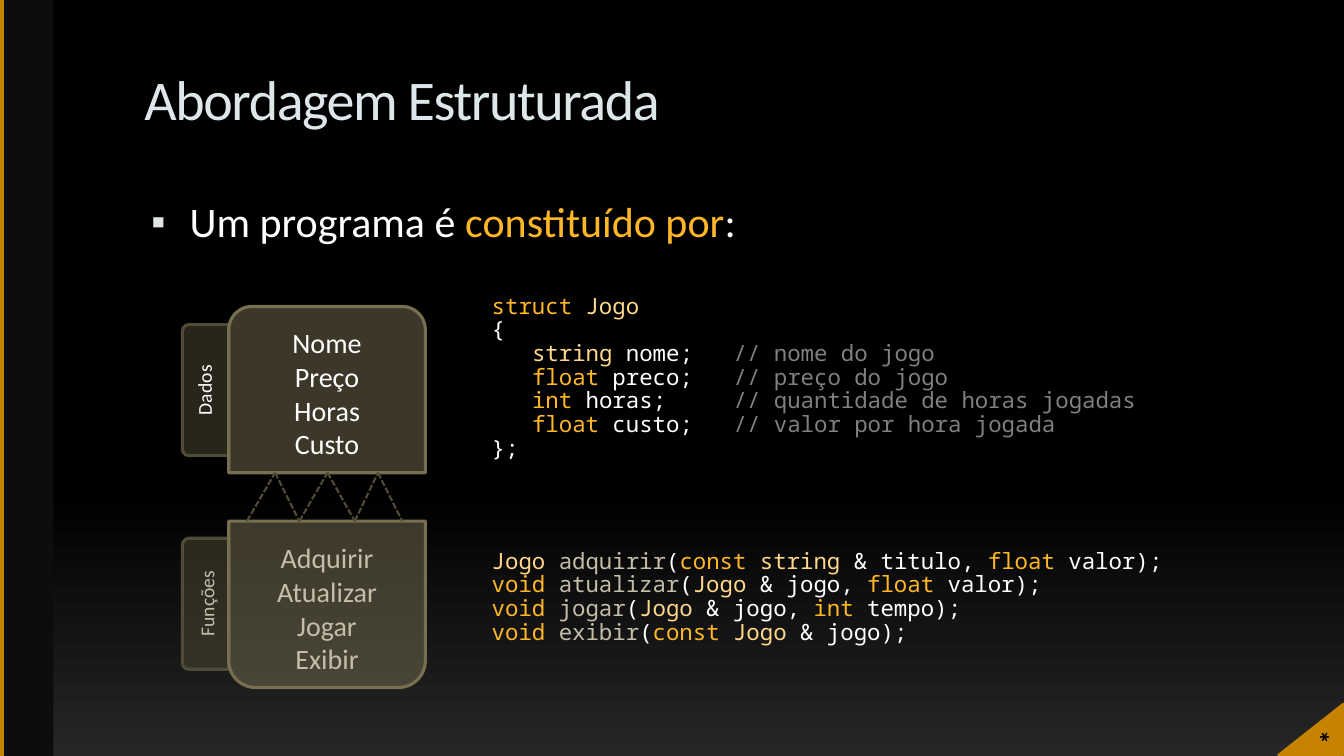
"""Slide on the structured approach: data, functions and their declarations."""
from lxml import etree
from pptx import Presentation
from pptx import util as u
from pptx.dml.color import RGBColor
from pptx.enum import dml, shapes, text
from pptx.oxml import ns

WHITE = RGBColor(0xFF, 0xFF, 0xFF)
BLACK = RGBColor(0x00, 0x00, 0x00)
CHARCOAL = RGBColor(0x26, 0x26, 0x26)
SIDEBAR = RGBColor(0x0D, 0x0D, 0x0D)
ORANGE = RGBColor(0xC5, 0x83, 0x00)
AMBER = RGBColor(0xFF, 0xB7, 0x28)
CREAM = RGBColor(0xFF, 0xD8, 0x8B)
GRAY = RGBColor(0x80, 0x80, 0x80)
SAND = RGBColor(0xC4, 0xBE, 0xA9)
MIST = RGBColor(0xDD, 0xE6, 0xE8)
OLIVE = RGBColor(0x78, 0x6F, 0x51)
DARK_OLIVE = RGBColor(0x50, 0x4A, 0x36)

deck = Presentation()
deck.slide_width, deck.slide_height = u.Inches(13.33), u.Inches(7.5)
page = deck.slides.add_slide(deck.slide_layouts[6])
COLUMN, ROW = deck.slide_width / 160, deck.slide_height / 90


def place(left, top, width, height):
    return int(left * COLUMN), int(top * ROW), int(width * COLUMN), int(height * ROW)


def write(box, lines, font, para_format={}, insets=(0.1, 0.05, 0.1, 0.05), anchor=text.MSO_ANCHOR.TOP):
    frame = box.text_frame
    frame.word_wrap, frame.vertical_anchor = True, anchor
    for side, inset in zip(("left", "top", "right", "bottom"), insets):
        setattr(frame, f"margin_{side}", u.Inches(inset))
    for number, line in enumerate(lines):
        para = frame.add_paragraph() if number else frame.paragraphs[0]
        for name, value in para_format.items():
            setattr(para, name, value)
        for words, color in line:
            span = para.add_run()
            span.text = words
            span.font.color.rgb = color
            for name, value in font.items():
                setattr(span.font, name, value)
    return frame.paragraphs


backdrop = page.background.fill
backdrop.gradient()
backdrop.gradient_angle = 270
for stop, position, color in zip(backdrop.gradient_stops, (0.65, 1), (BLACK, CHARCOAL)):
    stop.position, stop.color.rgb = position, color

sidebar = page.shapes.add_shape(shapes.MSO_SHAPE.RECTANGLE, *place(0, 0, 6.36, 90))
sidebar.shadow.inherit = False
sidebar.fill.solid()
sidebar.fill.fore_color.rgb = SIDEBAR
sidebar.line.fill.background()

title = page.shapes.add_textbox(*place(16, 6.72, 114.12, 12))
heading = write(title, [[("Abordagem Estruturada", MIST)]],
                {"name": "Calibri", "size": u.Pt(40)}, insets=(0.1, 0.08, 0.1, 0.05))
heading[0].runs[0].font._element.set("spc", "-100")

body = page.shapes.add_textbox(*place(16, 23.4, 136, 60))
bullet = write(body, [[("Um programa é ", WHITE), ("constituído por", AMBER), (":", WHITE)]],
               {"name": "Calibri", "size": u.Pt(30)},
               {"space_before": u.Pt(7), "line_spacing": 0.9})[0]._p.get_or_add_pPr()
bullet.set("marL", str(u.Inches(0.45)))
bullet.set("indent", str(u.Inches(-0.38)))
bullet_color = etree.SubElement(bullet, ns.qn("a:buClr"))
etree.SubElement(bullet_color, ns.qn("a:srgbClr"), val="E0E4E5")
etree.SubElement(bullet, ns.qn("a:buSzPct"), val="95000")
etree.SubElement(bullet, ns.qn("a:buFont"), typeface="Calibri")
etree.SubElement(bullet, ns.qn("a:buChar"), char="▪")

fields = [("string", CREAM, "nome", "nome do jogo"),
          ("float", AMBER, "preco", "preço do jogo"),
          ("int", AMBER, "horas", "quantidade de horas jogadas"),
          ("float", AMBER, "custo", "valor por hora jogada")]
struct_code = [[("struct ", AMBER), ("Jogo", CREAM)], [("{", WHITE)]]
struct_code += [[(f"\t{kind}", color), (f" {name};\t", WHITE), (f"// {note}", GRAY)]
                for kind, color, name, note in fields]
struct_code.append([("};", WHITE)])

function_code = [
    [("Jogo ", CREAM), ("adquirir", SAND), ("(", WHITE), ("const ", AMBER), ("string ", CREAM),
     ("& titulo, ", WHITE), ("float", AMBER), (" valor);", WHITE)]]
for name, kind, argument in (("atualizar", "float", "valor"), ("jogar", "int", "tempo")):
    function_code.append([("void ", AMBER), (name, SAND), ("(", WHITE), ("Jogo", CREAM),
                          (" & jogo, ", WHITE), (kind, AMBER), (f" {argument});", WHITE)])
function_code.append([("void ", AMBER), ("exibir", SAND), ("(", WHITE), ("const ", AMBER),
                      ("Jogo", CREAM), (" & jogo);", WHITE)])

for top, height, code in ((34.56, 23.88, struct_code), (64.92, 14.16, function_code)):
    listing = page.shapes.add_textbox(*place(57.36, top, 82.92, height))
    for para in write(listing, code, {"name": "Noto Sans Mono", "size": u.Pt(16)},
                      {"line_spacing": 0.88}):
        if "\t" in para.text:
            tabs = etree.SubElement(para._p.get_or_add_pPr(), ns.qn("a:tabLst"))
            for stop in (0.4, 2.4):
                etree.SubElement(tabs, ns.qn("a:tab"), pos=str(u.Inches(stop)), algn="l")

outline = page.shapes.build_freeform(int(152.16 * COLUMN), int(89.88 * ROW))
outline.add_line_segments([(int(159.92 * COLUMN), int(y * ROW)) for y in (83.76, 89.88)])
corner = outline.convert_to_shape()
corner.shadow.inherit = False
corner.fill.solid()
corner.fill.fore_color.rgb = corner.line.color.rgb = ORANGE
corner.line.width = u.Pt(1.25)

page_mark = page.shapes.add_textbox(*place(154.56, 84.84, 5.16, 5.28))
page_mark.rotation = 90
write(page_mark, [[("*", BLACK)]], {"name": "Calibri", "size": u.Pt(20), "bold": True},
      insets=(0.17, 0.05, 0, 0.05))

CENTERED = {"alignment": text.PP_ALIGN.CENTER}
flat = (0, 0, 0, 0)
panels = [
    ((16.68, 43.68, 15.6, 5.52), 270, (0.14, 0), DARK_OLIVE, ["Dados"], 14, WHITE, (0.1, 0, 0.1, 0.05)),
    ((27.24, 36.48, 23.4, 19.8), 0, (0.14, 0), OLIVE,
     ["Nome", "Preço", "Horas", "Custo"], 20, WHITE, flat),
    ((16.68, 69.12, 15.6, 5.52), 270, (0.14, 0), DARK_OLIVE, ["Funções"], 14, SAND, flat),
    ((27.24, 62.04, 23.4, 19.8), 0, (0, 0.16), OLIVE,
     ["Adquirir", "Atualizar", "Jogar", "Exibir"], 20, SAND, (0.1, 0.2, 0.1, 0.05))]
for area, turn, rounding, tone, words, size, color, insets in panels:
    panel = page.shapes.add_shape(shapes.MSO_SHAPE.ROUND_2_SAME_RECTANGLE, *place(*area))
    panel.shadow.inherit = False
    panel.rotation = turn
    panel.adjustments[0], panel.adjustments[1] = rounding
    panel.fill.solid()
    panel.fill.fore_color.rgb = panel.line.color.rgb = tone
    panel.line.width = u.Pt(2.25)
    fill_color = panel.element.spPr.find(ns.qn("a:solidFill"))[0]
    etree.SubElement(fill_color, ns.qn("a:alpha"), val="50000")
    write(panel, [[(word, color)] for word in words], {"name": "Calibri", "size": u.Pt(size)},
          CENTERED, insets, text.MSO_ANCHOR.MIDDLE)

zigzag = [(x, 56.28 if number % 2 else 62.04)
          for number, x in enumerate((29.4, 32.76, 35.64, 39, 42.24, 45, 47.88))]
strokes = [((0.24, 0), (0.24, 90), ORANGE, 3, None)]
strokes += [(start, end, DARK_OLIVE, 1.5, dml.MSO_LINE.SQUARE_DOT)
            for start, end in zip(zigzag, zigzag[1:])]
for start, end, color, width, dash in strokes:
    stroke = page.shapes.add_connector(shapes.MSO_CONNECTOR.STRAIGHT, *place(*start, *end))
    stroke.line.color.rgb = color
    stroke.line.width = u.Pt(width)
    stroke.line.dash_style = dash
    etree.SubElement(stroke._element.spPr, ns.qn("a:effectLst"))

deck.save("out.pptx")
